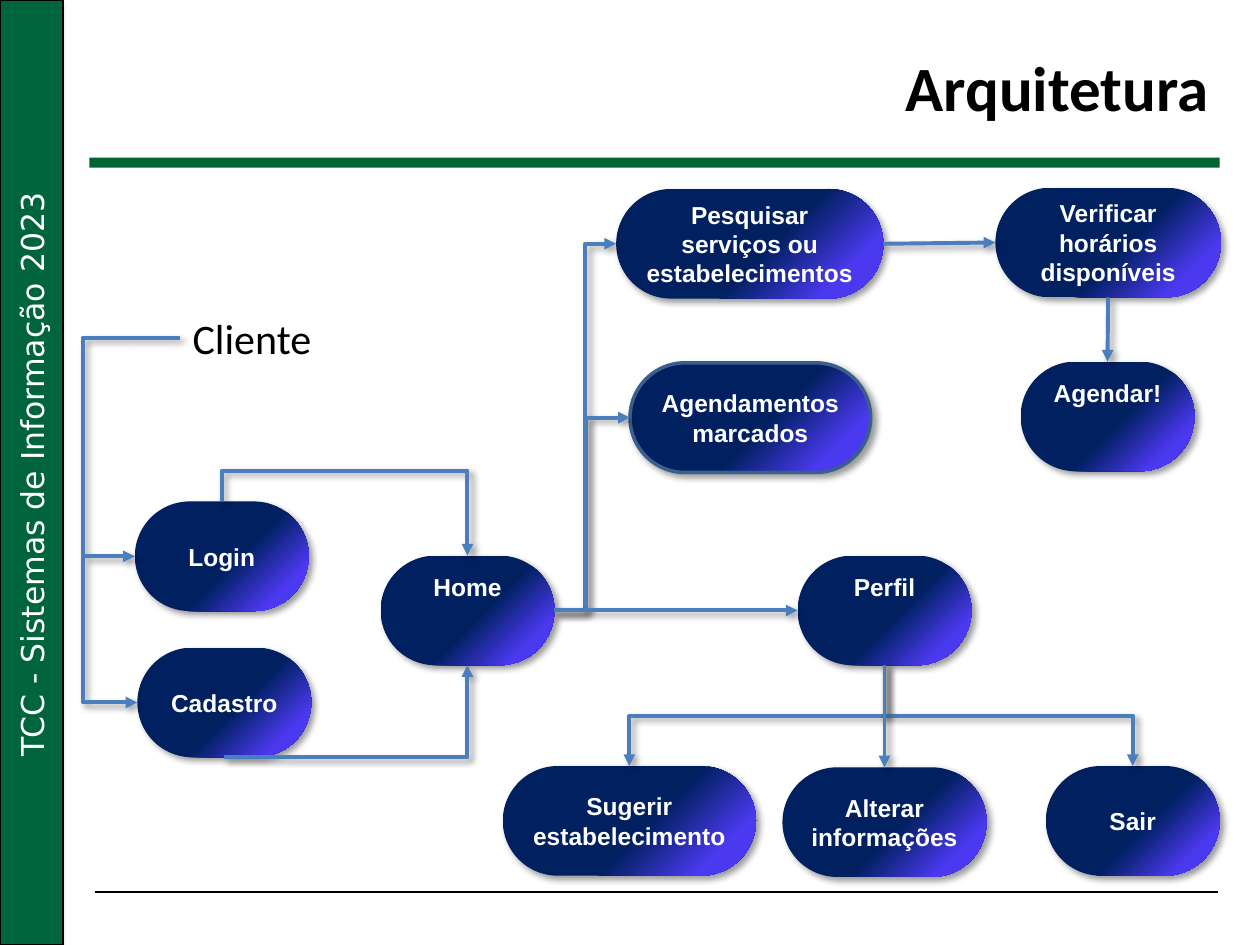
from lxml import etree
from pptx import Presentation
from pptx.dml.color import RGBColor
from pptx.enum import shapes, text
from pptx.oxml import parse_xml
from pptx.oxml.ns import nsdecls, qn
from pptx.util import Inches, Pt

BLACK = RGBColor(0x00, 0x00, 0x00)
WHITE = RGBColor(0xFF, 0xFF, 0xFF)
BAR_GREEN = RGBColor(0x00, 0x64, 0x3C)
RULE_GREEN = RGBColor(0x00, 0x64, 0x32)
NAVY = RGBColor(0x00, 0x20, 0x60)
VIOLET = RGBColor(0x4B, 0x39, 0xEF)
OUTLINE = RGBColor(0x3A, 0x5F, 0x8C)
ARROW = RGBColor(0x4B, 0x7E, 0xBC)

TOP, LEFT, BOTTOM, RIGHT = range(4)
NODE_W, NODE_H = 1.38, 0.87

# name: (x, y, width, label, anchored at the top)
NODES = {
    "login": (0.47, 2.58, NODE_W, "Login", False),
    "signup": (0.49, 3.74, NODE_W, "Cadastro", False),
    "home": (2.42, 3.01, NODE_W, "Home", True),
    "bookings": (4.4, 1.48, 1.91, "Agendamentos marcados", False),
    "search": (4.29, 0.1, 2.12, "Pesquisar serviços ou estabelecimentos", False),
    "times": (7.3, 0.09, 1.79, "Verificar horários disponíveis", False),
    "book": (7.5, 1.47, NODE_W, "Agendar!", True),
    "profile": (5.73, 3.01, NODE_W, "Perfil", True),
    "edit": (5.61, 4.69, 1.62, "Alterar informações", False),
    "suggest": (3.39, 4.68, 2.01, "Sugerir estabelecimento", False),
    "exit": (7.7, 4.68, NODE_W, "Sair", False),
}


def add_shadow(sp, angle):
    spPr = sp._element.spPr
    effects = spPr.find(qn("a:effectLst"))
    if effects is None:
        effects = etree.SubElement(spPr, qn("a:effectLst"))
    effects.append(parse_xml(
        f'<a:outerShdw {nsdecls("a")} blurRad="{Pt(4)}" dist="{Pt(3)}" '
        f'dir="{angle * 60000}" algn="tl" rotWithShape="0">'
        '<a:srgbClr val="000000"><a:alpha val="40000"/></a:srgbClr></a:outerShdw>'))


def set_text(sp, words, size, font, color, align, bold=False, wrap=True):
    tf = sp.text_frame
    tf.word_wrap = wrap
    tf.text = words
    p = tf.paragraphs[0]
    p.alignment = align
    f = p.runs[0].font
    f.size, f.name, f.bold = Pt(size), font, bold
    f.color.rgb = color
    return tf


def add_rect(s, x, y, w, h, color):
    sp = s.shapes.add_shape(shapes.MSO_SHAPE.RECTANGLE,
                            Inches(x), Inches(y), Inches(w), Inches(h))
    sp.shadow.inherit = False
    sp.fill.solid()
    sp.fill.fore_color.rgb = color
    sp.line.fill.background()
    return sp


def add_side_bar(s, x, y, w, h):
    bar = add_rect(s, x, y, w, h, BAR_GREEN)
    bar.line.color.rgb = BLACK
    bar.line.width = Pt(0.75)
    add_shadow(bar, 135)
    # Vertical caption
    length, thick = 7.49, 0.37
    box = s.shapes.add_textbox(Inches(x + 0.235 - length / 2), Inches(y + 3.58),
                               Inches(length), Inches(thick))
    box.rotation = 270
    set_text(box, "TCC - Sistemas de Informação 2023", 18, "DejaVu Sans", WHITE,
             text.PP_ALIGN.CENTER)


def add_heading(s, x, y, w, h):
    # Footer line and rule under the title
    foot = s.shapes.add_connector(shapes.MSO_CONNECTOR.STRAIGHT, Inches(x + 0.04),
                                  Inches(7.08), Inches(x + w - 0.01), Inches(7.08))
    foot.line.color.rgb = BLACK
    foot.line.width = Pt(0.75)
    etree.SubElement(foot._element.spPr, qn("a:effectLst"))
    add_rect(s, x, y + 1, w, 0.08, RULE_GREEN)
    # Title
    box = s.shapes.add_textbox(Inches(x + w - 6.45), Inches(y), Inches(6.46), Inches(h))
    tf = set_text(box, "Arquitetura", 36, "Calibri", BLACK, text.PP_ALIGN.RIGHT, True)
    tf.vertical_anchor = text.MSO_ANCHOR.MIDDLE


def add_node(s, x, y, w, label, at_top):
    sp = s.shapes.add_shape(shapes.MSO_SHAPE.ROUNDED_RECTANGLE,
                            Inches(x), Inches(y), Inches(w), Inches(NODE_H))
    sp.adjustments[0] = 0.5
    sp.shadow.inherit = False
    sp.line.fill.background()
    sp.fill.gradient()
    sp.fill.gradient_angle = 315
    for stop, (pos, color) in zip(sp.fill.gradient_stops, ((0.56, NAVY), (0.83, VIOLET))):
        stop.position = pos
        stop.color.rgb = color
    add_shadow(sp, 45)
    tf = set_text(sp, label, 14, "Arial", WHITE, text.PP_ALIGN.CENTER, True)
    tf.vertical_anchor = text.MSO_ANCHOR.TOP if at_top else text.MSO_ANCHOR.MIDDLE
    if at_top:
        tf.margin_top = 0
    return sp


def side_point(sp, side):
    cx, cy = sp.left + sp.width // 2, sp.top + sp.height // 2
    return ((cx, sp.top), (sp.left, cy), (cx, sp.top + sp.height),
            (sp.left + sp.width, cy))[side]


def add_arrow(s, kind, start, end):
    c = s.shapes.add_connector(kind, *start, *end)
    c.line.color.rgb = ARROW
    c.line.width = Pt(2.25)
    ln = c._element.spPr.find(qn("a:ln"))
    etree.SubElement(ln, qn("a:tailEnd"), type="triangle")
    add_shadow(c, 45)
    return c


def add_elbow(s, start, end, bend=0.5, vertical=False, corner=False):
    """Bent arrow; a vertical one leaves its start downwards (a quarter turn)."""
    (x1, y1), (x2, y2) = start, end
    if vertical:
        cx, cy = (x1 + x2) // 2, (y1 + y2) // 2
        dx, dy = (x2 - x1) // 2, (y2 - y1) // 2
        start, end = (cx - dy, cy + dx), (cx + dy, cy - dx)
    c = add_arrow(s, shapes.MSO_CONNECTOR.ELBOW, start, end)
    spPr = c._element.spPr
    if vertical:
        spPr.find(qn("a:xfrm")).set("rot", str(90 * 60000))
    geom = spPr.find(qn("a:prstGeom"))
    if corner:
        geom.set("prst", "bentConnector2")
    else:
        guides = geom.find(qn("a:avLst"))
        etree.SubElement(guides, qn("a:gd"), name="adj1", fmla=f"val {round(bend * 100000)}")


def add_flow(s, x, y):
    nodes = {name: add_node(s, x + nx, y + ny, *rest)
             for name, (nx, ny, *rest) in NODES.items()}
    nodes["bookings"].line.color.rgb = OUTLINE
    nodes["bookings"].line.width = Pt(2)

    def at(name, side):
        return side_point(nodes[name], side)

    # Bent arrows
    add_elbow(s, at("login", TOP), at("home", TOP), -0.57, vertical=True)
    add_elbow(s, at("signup", BOTTOM), at("home", BOTTOM), corner=True)
    add_elbow(s, at("home", RIGHT), at("search", LEFT))
    add_elbow(s, at("home", RIGHT), at("bookings", LEFT), 0.42)
    for name in ("suggest", "exit"):
        add_elbow(s, at("profile", BOTTOM), at(name, TOP), vertical=True)

    # Straight arrows
    for a, a_side, b, b_side in (("home", RIGHT, "profile", LEFT),
                                 ("search", RIGHT, "times", LEFT),
                                 ("times", BOTTOM, "book", TOP),
                                 ("profile", BOTTOM, "edit", TOP)):
        c = add_arrow(s, shapes.MSO_CONNECTOR.STRAIGHT, at(a, a_side), at(b, b_side))
        c.begin_connect(nodes[a], a_side)
        c.end_connect(nodes[b], b_side)

    # Client and its two ways in
    box = s.shapes.add_textbox(Inches(x + 0.83), Inches(y + 1.03), Inches(1.28), Inches(0.5))
    set_text(box, "Cliente", 24, "Calibri", BLACK, text.PP_ALIGN.LEFT, wrap=False)
    add_elbow(s, side_point(box, LEFT), at("signup", LEFT), 2.27)
    login_y = at("login", LEFT)[1]
    c = add_arrow(s, shapes.MSO_CONNECTOR.STRAIGHT, (Inches(x + 0.07), login_y),
                  at("login", LEFT))
    c.end_connect(nodes["login"], LEFT)


def main():
    prs = Presentation()
    prs.slide_width, prs.slide_height = Inches(10), Inches(7.5)
    s = prs.slides.add_slide(prs.slide_layouts[6])
    add_side_bar(s, 0, 0, 0.5, 7.5)
    add_heading(s, 0.71, 0.25, 8.97, 0.87)
    add_flow(s, 0.6, 1.4)
    prs.save("out.pptx")


if __name__ == "__main__":
    main()
